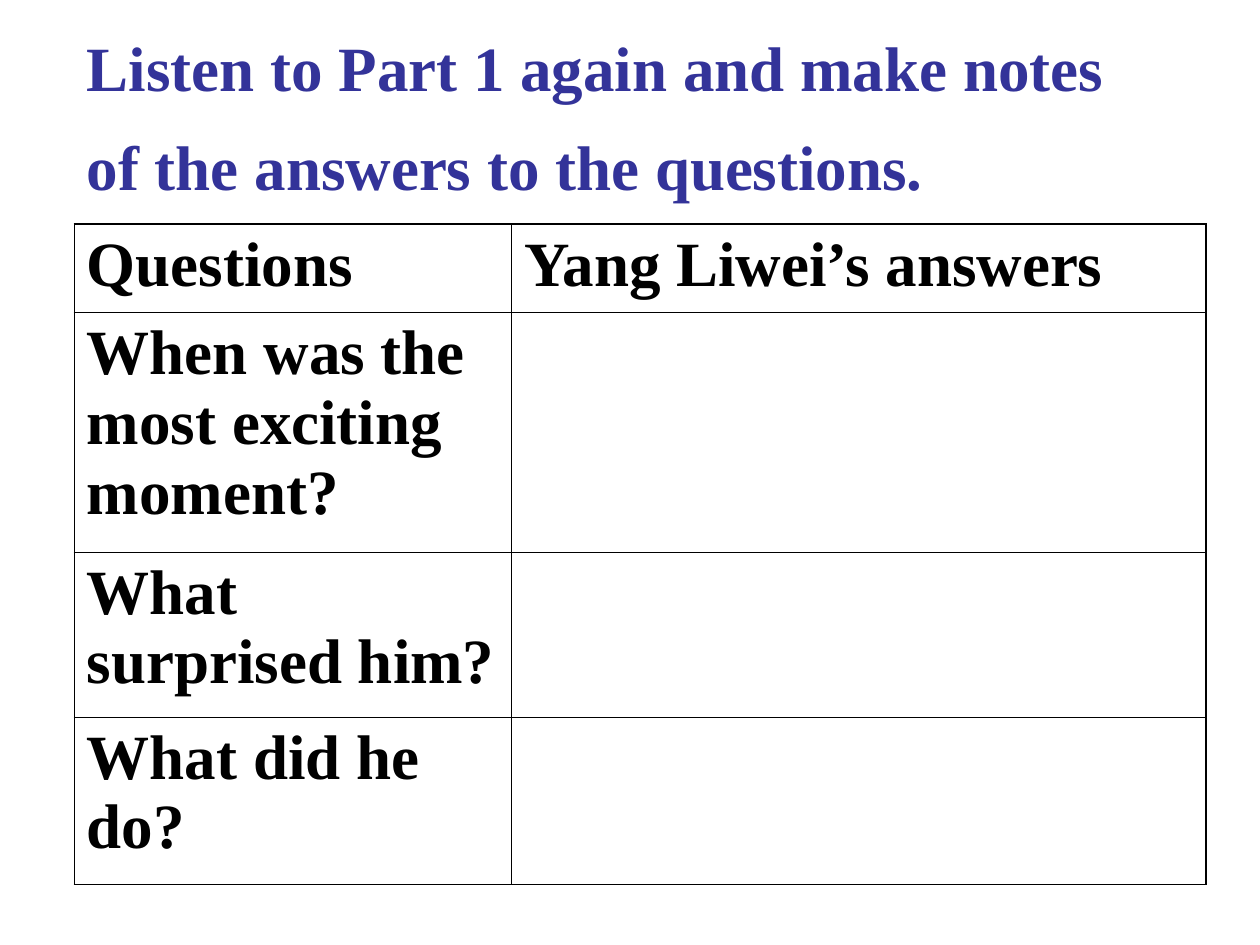
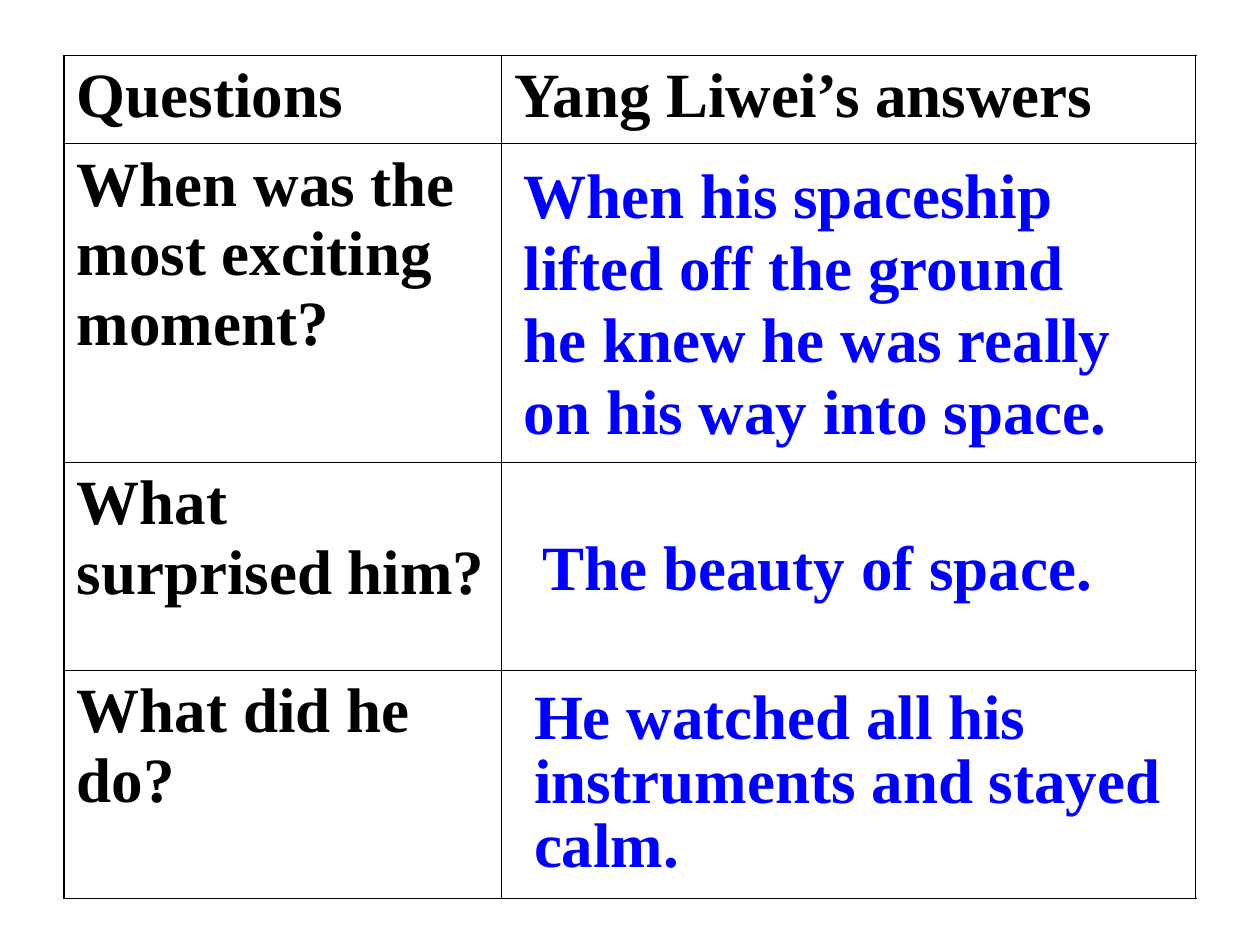
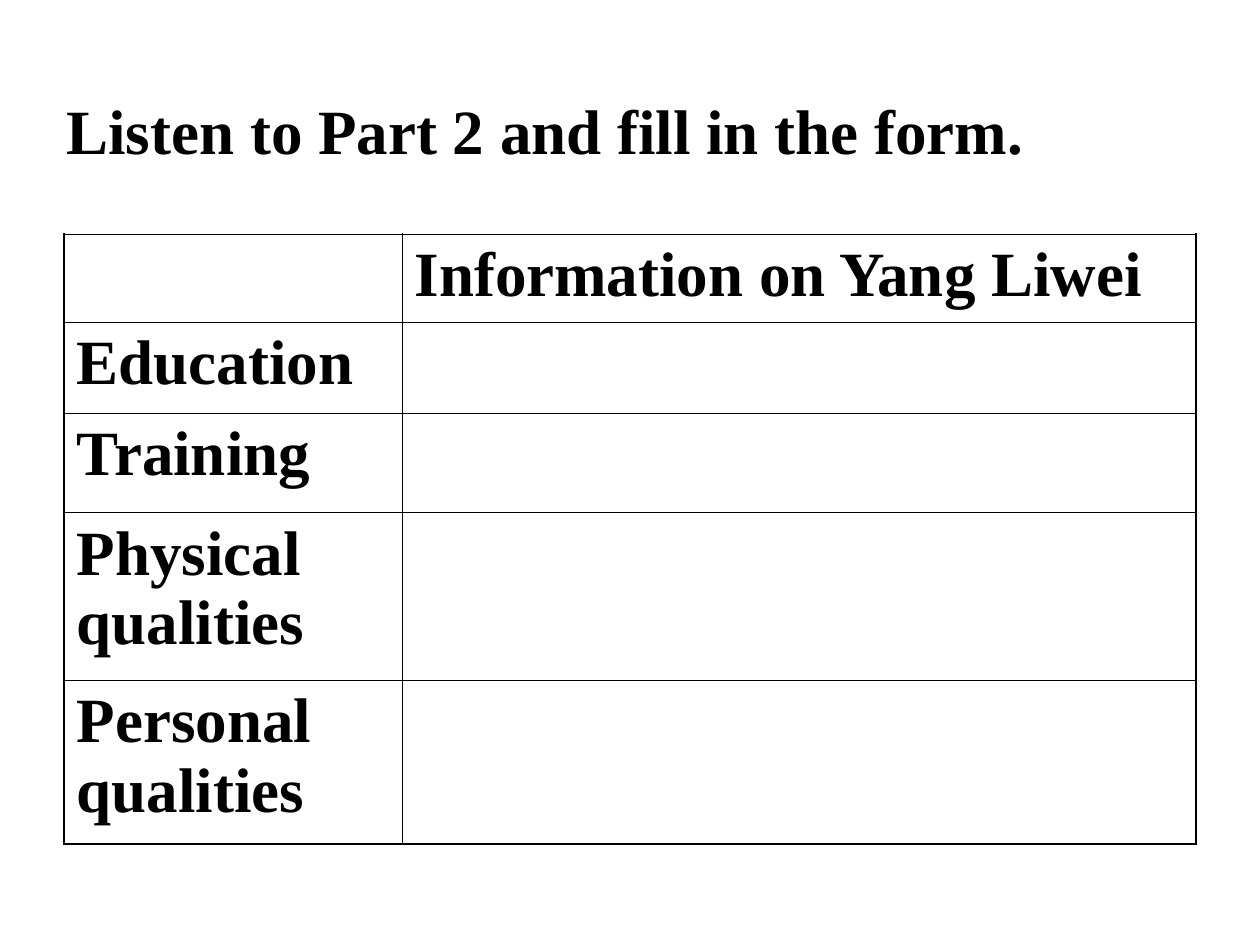
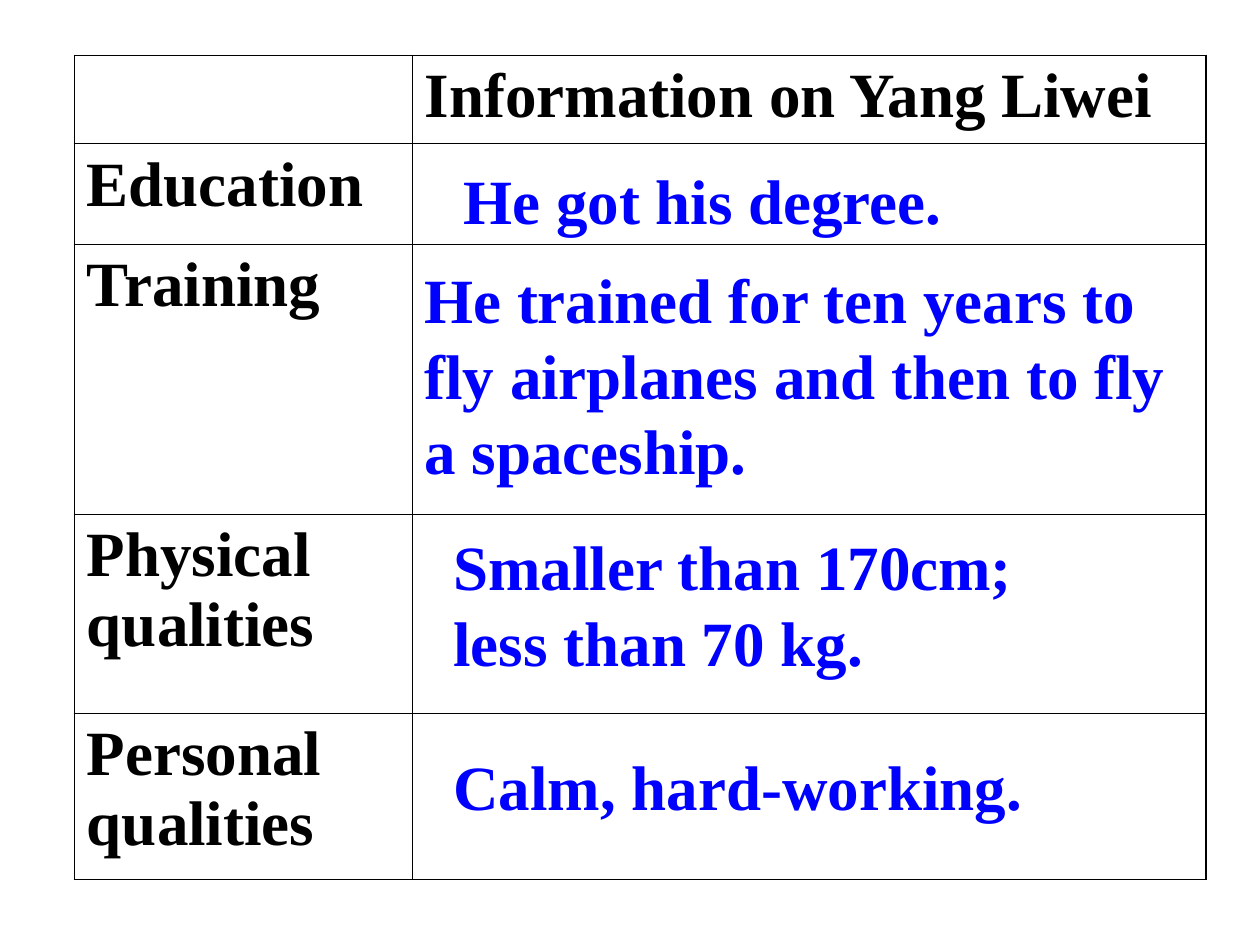
from dataclasses import dataclass

import lxml.etree
import pptx
import pptx.dml.color
import pptx.enum.text
import pptx.oxml.ns
import pptx.util

RGB = pptx.dml.color.RGBColor
BLACK = RGB(0x00, 0x00, 0x00)
NAVY = RGB(0x33, 0x33, 0x99)
BLUE = RGB(0x00, 0x00, 0xFF)

FONT = "Times New Roman"
SIZE = pptx.util.Pt(36)
THIN = pptx.util.Pt(0.45)
THICK = pptx.util.Pt(1.08)
SCALE = 9144  # EMU in one px, 100 px to the inch


@dataclass(frozen=True)
class Grid:
    left: int
    top: int
    cols: tuple[int, ...]
    rows: tuple[int, ...]
    head: tuple[str, str]
    labels: tuple[str, ...]


@dataclass(frozen=True)
class Note:
    left: int
    top: int
    width: int
    height: int
    lines: tuple[str, ...]
    color: RGB = BLUE
    first: float = 1.0
    rest: float = 1.0
    wrap: bool = True
    grow: bool = True


@dataclass(frozen=True)
class Page:
    grid: Grid
    notes: tuple[Note, ...]


ASK_COLS = (347, 551)
ASK_HEAD = ("Questions", "Yang Liwei’s answers")
ASKS = ("When was the most exciting moment?", "What surprised him?", "What did he do?")
FORM_COLS = (268, 630)
FORM_HEAD = ("", "Information on Yang Liwei")
FIELDS = ("Education", "Training", "Physical qualities", "Personal qualities")

PAGES = (
    Page(
        Grid(59, 178, ASK_COLS, (70, 190, 131, 133), ASK_HEAD, ASKS),
        (Note(59, 0, 851, 166,
              ("Listen to Part 1 again and make notes of the answers to the questions.",),
              color=NAVY, first=1.3),),
    ),
    Page(
        Grid(51, 44, ASK_COLS, (70, 253, 165, 181), ASK_HEAD, ASKS),
        (
            Note(406, 123, 551, 238,
                 ("When his spaceship lifted off the ground",
                  "he knew he was really", "on his way into space."),
                 first=0.95, rest=0.95),
            Note(421, 414, 456, 70, ("The beauty of space.",), wrap=False),
            Note(414, 532, 517, 172,
                 ("He watched all his", "instruments and stayed", "calm."),
                 rest=0.85, wrap=False),
        ),
    ),
    Page(
        Grid(51, 186, FORM_COLS, (70, 72, 79, 133, 130), FORM_HEAD, FIELDS),
        (Note(43, 68, 900, 71, ("Listen to Part 2 and fill in the form.",),
              color=BLACK, grow=False),),
    ),
    Page(
        Grid(59, 44, FORM_COLS, (70, 80, 214, 158, 132), FORM_HEAD, FIELDS),
        (
            Note(358, 123, 551, 70, ("He got his degree.",)),
            Note(327, 202, 638, 190,
                 ("He trained for ten years to fly airplanes and then to fly a spaceship.",)),
            Note(350, 414, 529, 130, ("Smaller than 170cm; less than 70 kg.",)),
            Note(350, 588, 529, 70, ("Calm, hard-working.",)),
        ),
    ),
)


def px(value: int) -> pptx.util.Emu:
    return pptx.util.Emu(value * SCALE)


def style(para, color: RGB) -> None:
    font = para.font
    font.name = FONT
    font.size = SIZE
    font.bold = True
    font.color.rgb = color


def edge(cell, side: str, width: int) -> None:
    """Draw one black border of a cell; side is L, R, T or B."""
    qn = pptx.oxml.ns.qn
    props = cell._tc.get_or_add_tcPr()
    line = lxml.etree.SubElement(props, qn(f"a:ln{side}"), w=str(int(width)))
    fill = lxml.etree.SubElement(line, qn("a:solidFill"))
    lxml.etree.SubElement(fill, qn("a:srgbClr"), val=str(BLACK))


def add_grid(slide, grid: Grid) -> None:
    """Add a table with thick outer and thin inner borders."""
    texts = [grid.head] + [(label, "") for label in grid.labels]
    rows, cols = len(grid.rows), len(grid.cols)
    frame = slide.shapes.add_table(
        rows, cols, px(grid.left), px(grid.top), px(sum(grid.cols)), px(sum(grid.rows)))
    table = frame.table
    table.first_row = table.horz_banding = False
    for col, width in zip(table.columns, grid.cols):
        col.width = px(width)
    for row, height in zip(table.rows, grid.rows):
        row.height = px(height)
    for r in range(rows):
        for c in range(cols):
            cell = table.cell(r, c)
            outer = {"L": c == 0, "R": c == cols - 1, "T": r == 0, "B": r == rows - 1}
            for side, thick in outer.items():
                edge(cell, side, THICK if thick else THIN)
            cell.fill.background()
            if texts[r][c]:
                cell.text = texts[r][c]
                style(cell.text_frame.paragraphs[0], BLACK)


def add_note(slide, note: Note) -> None:
    box = slide.shapes.add_textbox(
        px(note.left), px(note.top), px(note.width), px(note.height))
    frame = box.text_frame
    frame.word_wrap = note.wrap
    if note.grow:
        frame.auto_size = pptx.enum.text.MSO_AUTO_SIZE.SHAPE_TO_FIT_TEXT
    frame.text = "\n".join(note.lines)
    for i, para in enumerate(frame.paragraphs):
        para.line_spacing = note.rest if i else note.first
        style(para, note.color)


def main() -> None:
    deck = pptx.Presentation()
    deck.slide_width, deck.slide_height = px(1000), px(750)
    for page in PAGES:
        slide = deck.slides.add_slide(deck.slide_layouts[6])
        add_grid(slide, page.grid)
        for note in page.notes:
            add_note(slide, note)
    deck.save("out.pptx")


if __name__ == "__main__":
    main()
